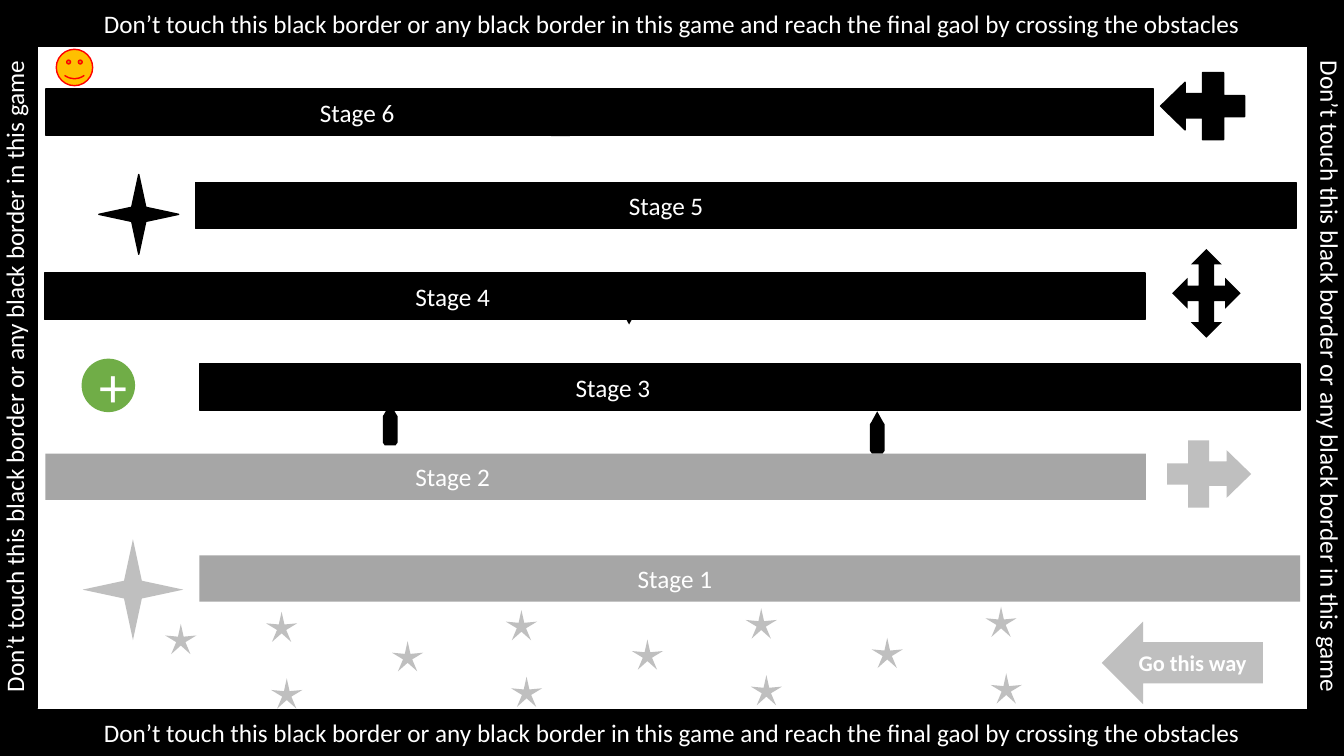
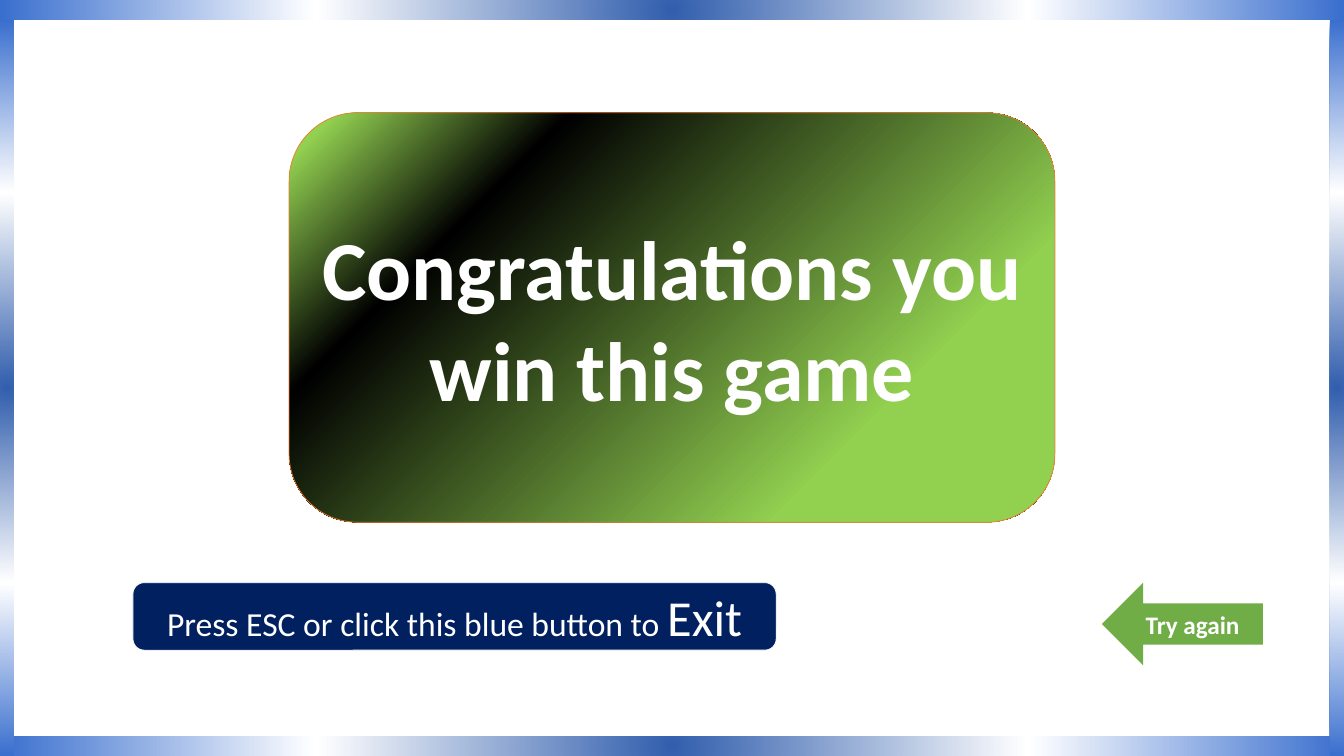
"""Build the two slides of a mouse-maze game: the board and the winning screen."""
from lxml import etree
from pptx import Presentation
from pptx.dml.color import RGBColor
from pptx.enum.shapes import MSO_SHAPE as Preset
from pptx.enum.text import MSO_ANCHOR as Anchor, MSO_AUTO_SIZE as AutoSize, PP_ALIGN as Align
from pptx.oxml import parse_xml
from pptx.oxml.ns import nsdecls, qn
from pptx.util import Pt

FONT = "Calibri"
WHITE = RGBColor(0xFF, 0xFF, 0xFF)
BLACK = RGBColor(0x00, 0x00, 0x00)
BAR_GREY = RGBColor(0xA6, 0xA6, 0xA6)
PALE_GREY = RGBColor(0xBF, 0xBF, 0xBF)
GREEN = RGBColor(0x70, 0xAD, 0x47)
LIME = RGBColor(0x92, 0xD0, 0x50)
ORANGE = RGBColor(0xED, 0x7D, 0x31)
GOLD = RGBColor(0xFF, 0xC0, 0x00)
RED = RGBColor(0xFF, 0x00, 0x00)
NAVY = RGBColor(0x00, 0x20, 0x60)
FRAME_DARK = RGBColor(0x31, 0x5E, 0xAD)
FRAME_LIGHT = RGBColor(0x3A, 0x6F, 0xCE)

WIDTH, HEIGHT = 960, 540
FRAME_STOPS = [(0, FRAME_DARK), (53, WHITE), (100, FRAME_LIGHT)]
FRAME_SHADE = '<a:path path="circle"><a:fillToRect l="50000" t="50000" r="50000" b="50000"/></a:path>'
PANEL_STOPS = [(4, LIME), (24, BLACK), (76, LIME)]
PANEL_SHADE = '<a:lin ang="2700000" scaled="0"/>'


def style(shape, fill, line=None, weight=1, text="", size=18, bold=False, align=Align.CENTER):
    """Set the fill, outline and text of a shape."""
    shape.shadow.inherit = False
    shape.fill.solid()
    shape.fill.fore_color.rgb = fill
    if line is None:
        shape.line.fill.background()
    else:
        shape.line.color.rgb = line
        shape.line.width = Pt(weight)
    if text:
        paragraph = shape.text_frame.paragraphs[0]
        paragraph.text = text
        paragraph.alignment = align
        paragraph.font.name = FONT
        paragraph.font.size = Pt(size)
        paragraph.font.bold = bold
        paragraph.font.color.rgb = WHITE
    return shape


def shade(shape, stops, direction):
    """Replace the solid fill of a shape by a gradient."""
    marks = "".join(f'<a:gs pos="{position * 1000}"><a:srgbClr val="{color}"/></a:gs>' for position, color in stops)
    gradient = parse_xml(f'<a:gradFill rotWithShape="1" {nsdecls("a")}><a:gsLst>{marks}</a:gsLst>{direction}</a:gradFill>')
    solid = shape.fill._xPr.find(qn("a:solidFill"))
    solid.getparent().replace(solid, gradient)


prs = Presentation()
prs.slide_width, prs.slide_height = Pt(WIDTH), Pt(HEIGHT)

board = prs.slides.add_slide(prs.slide_layouts[6]).shapes

way_arrow = board.add_shape(Preset.LEFT_ARROW, Pt(787), Pt(444), Pt(115), Pt(59))
style(way_arrow, PALE_GREY, text="Go this way", size=16, bold=True)

CROSS_ARROW = [(15, 0), (30, 0), (30, 15), (42.5, 15), (42.5, 7), (60, 24), (42.5, 41), (42.5, 32.5),
               (30, 32.5), (30, 48), (15, 48), (15, 31.5), (0, 31.5), (0, 16.5), (15, 16.5)]
SPIKE = [(1.4, 0), (9, 0), (10.5, 2), (10.5, 21), (9.5, 22.5), (5.2, 30.2), (1, 22.5), (0, 21), (0, 2)]
outlines = [
    (CROSS_ARROW, 833.7, 314.6, 1, 1, PALE_GREY, None),
    (CROSS_ARROW, 889, 51.8, -1, 1, BLACK, BLACK),
    (SPIKE, 444.2, 201.6, 1, 1, BLACK, None),
    (SPIKE, 273.5, 288, 1, -1, BLACK, None),
    (SPIKE, 621.4, 293.8, 1, -1, BLACK, None),
]
for corners, left, top, across, down, fill, line in outlines:
    base = top if down > 0 else top + max(y for _, y in corners)
    points = [(Pt(left + across * x), Pt(base + down * y)) for x, y in corners]
    builder = board.build_freeform(*points[0], scale=1.0)
    builder.add_line_segments(points[1:], close=True)
    style(builder.convert_to_shape(), fill, line)

obstacles = [
    (Preset.STAR_4_POINT, 59, 385.2, 72, 72, PALE_GREY, None),
    (Preset.STAR_4_POINT, 70.6, 124.6, 57, 57, BLACK, BLACK),
    (Preset.RECTANGLE, 142.5, 64, 42, 33, BLACK, BLACK),
    (Preset.UP_ARROW, 386.6, 65.5, 27.4, 31.7, BLACK, None),
    (Preset.QUAD_ARROW, 837.2, 177.8, 49, 63.4, BLACK, None),
    (Preset.SMILEY_FACE, 40.2, 35.2, 26, 26, GOLD, RED),
]
for preset, left, top, width, height, fill, line in obstacles:
    style(board.add_shape(preset, Pt(left), Pt(top), Pt(width), Pt(height)), fill, line)

plus = board.add_shape(Preset.OVAL, Pt(58.3), Pt(256.2), Pt(38.2), Pt(38.2))
style(plus, GREEN, text="+", size=40)

STAR_STEP, STAR_RISE = 171.3, 1.2
star_rows = [(118, 445.7, 1), (190, 437, 4), (280, 458, 3), (193.7, 484.6, 4)]
for left, top, count in star_rows:
    for column in range(count):
        star = board.add_shape(Preset.STAR_5_POINT, Pt(left + column * STAR_STEP),
                               Pt(top - column * STAR_RISE), Pt(22.3), Pt(21.6))
        star.adjustments[0] = 0.147
        style(star, PALE_GREY)

stages = [
    ("Stage 1", 142.5, 396.7, 786.2, 313, BAR_GREY, None),
    ("Stage 2", 32.4, 324, 786.2, 264.3, BAR_GREY, None),
    ("Stage 3", 142.5, 259.9, 786.2, 268.7, BLACK, BLACK),
    ("Stage 4", 31.7, 195.1, 786.2, 265, BLACK, BLACK),
    ("Stage 5", 139.7, 130.3, 786.2, 309.5, BLACK, BLACK),
    ("Stage 6", 32.8, 63.7, 791.3, 195.7, BLACK, BLACK),
]
for name, left, top, width, indent, fill, line in stages:
    bar = board.add_shape(Preset.RECTANGLE, Pt(left), Pt(top), Pt(width), Pt(33.1))
    style(bar, fill, line, text=name, align=Align.LEFT)
    bar.text_frame.margin_left = Pt(indent)

WARNING = "Don’t touch this black border or any black border in this game"
GOAL = WARNING + " and reach the final gaol by crossing the obstacles"
borders = [
    (WARNING, 933.8, 31, 33.1, 476, "vert"),
    (WARNING, -6.5, 31.7, 33.1, 474.5, "vert270"),
    (GOAL, 0, 507, WIDTH, 33, "horz"),
    (GOAL, 0, 0, WIDTH, 33, "horz"),
]
for text, left, top, width, height, direction in borders:
    border = board.add_shape(Preset.RECTANGLE, Pt(left), Pt(top), Pt(width), Pt(height))
    style(border, BLACK, BLACK, text=text)
    frame = border.text_frame
    frame.margin_left = frame.margin_right = frame.margin_top = frame.margin_bottom = Pt(6)
    frame._txBody.bodyPr.set("vert", direction)

win = prs.slides.add_slide(prs.slide_layouts[5]).shapes

panel = win.add_shape(Preset.ROUNDED_RECTANGLE, Pt(206.5), Pt(80.5), Pt(547), Pt(292.5))
style(panel, LIME, ORANGE, 0.5)
shade(panel, PANEL_STOPS, PANEL_SHADE)

title = win.title
title.left, title.top, title.width, title.height = Pt(220), Pt(80.5), Pt(520), Pt(292.5)
title.text_frame.auto_size = AutoSize.NONE
title.text_frame.vertical_anchor = Anchor.MIDDLE
congratulations = title.text_frame.paragraphs[0]
congratulations.text = "Congratulations you win this game"
congratulations.alignment = Align.CENTER
congratulations.font.name = FONT
congratulations.font.size = Pt(60)
congratulations.font.bold = True
congratulations.font.color.rgb = WHITE
win._spTree.remove(title._element)
win._spTree.append(title._element)

retry_arrow = win.add_shape(Preset.LEFT_ARROW, Pt(787), Pt(416.2), Pt(115), Pt(59))
style(retry_arrow, GREEN, text="Try again", bold=True)

exit_button = win.add_shape(Preset.ROUNDED_RECTANGLE, Pt(95), Pt(416.2), Pt(459.4), Pt(48.2))
style(exit_button, NAVY, WHITE, 0.5, "Press ESC or click this blue button to ", 24)
exit_word = exit_button.text_frame.paragraphs[0].add_run()
exit_word.text = "Exit"
exit_word.font.size = Pt(36)

EDGE, SIDE = 14, 10
frame_bands = [
    (0, 0, WIDTH, EDGE),
    (0, HEIGHT - EDGE, WIDTH, EDGE),
    (0, EDGE, SIDE, HEIGHT - EDGE),
    (WIDTH - SIDE, EDGE, SIDE, HEIGHT - EDGE),
]
for left, top, width, height in frame_bands:
    band = win.add_shape(Preset.RECTANGLE, Pt(left), Pt(top), Pt(width), Pt(height))
    style(band, FRAME_DARK)
    shade(band, FRAME_STOPS, FRAME_SHADE)

prs.save("out.pptx")
